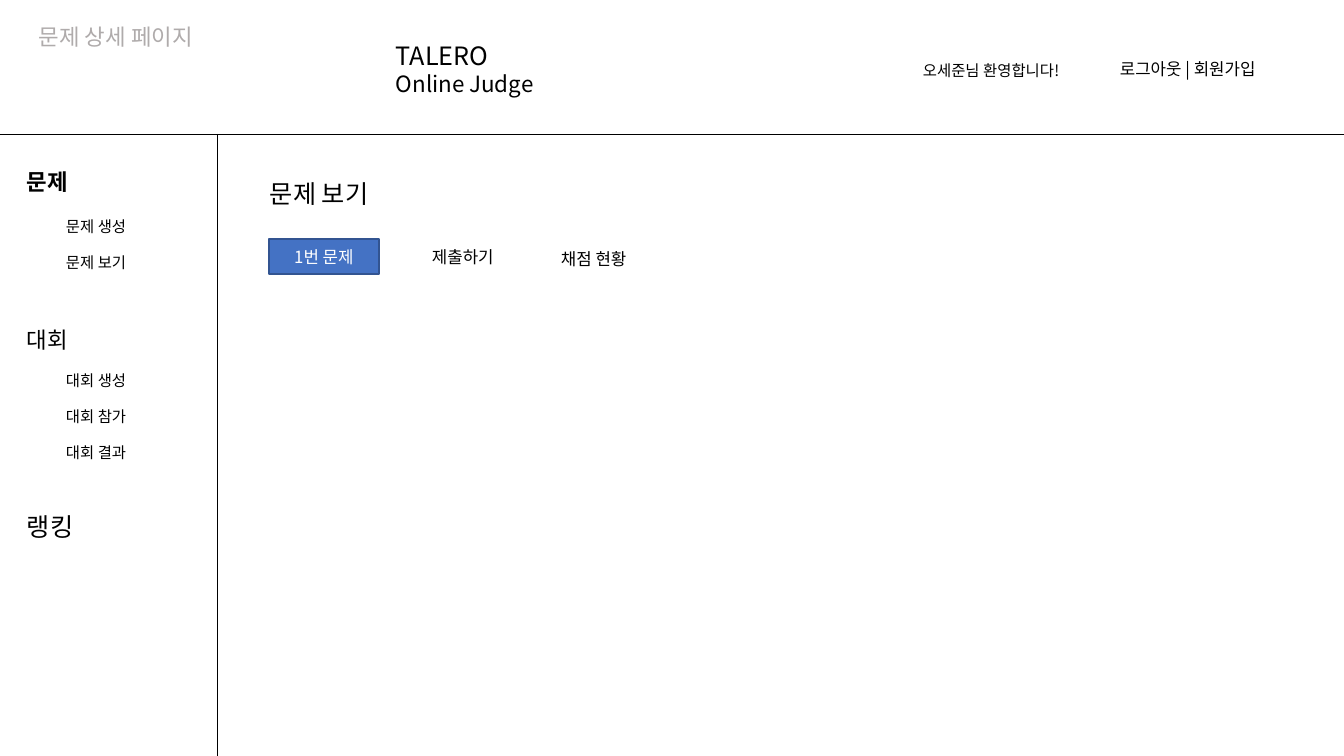
"""Builds the problem detail page of an online judge."""
from pptx import Presentation
from pptx.util import Emu, Pt
from pptx.dml.color import RGBColor
from pptx.enum.shapes import MSO_SHAPE as Shape, MSO_CONNECTOR as Link
from pptx.enum.text import PP_ALIGN as Align, MSO_ANCHOR as Anchor
from pptx.oxml.ns import qn
from lxml.etree import SubElement as Sub

FONT = "Noto Sans CJK KR"


def px(n):
    return Emu(round(n * 9144 / 1.008))


def style(par, text, size, tint="000000", bold=False):
    par.text = text
    for run in par.runs:
        font = run.font
        font.name, font.size, font.bold = FONT, Pt(size), bold
        font.color.rgb = RGBColor.from_string(tint)
        Sub(font._element, qn("a:ea")).set("typeface", FONT)


deck = Presentation()
deck.slide_width, deck.slide_height = px(1344), px(756)
slide = deck.slides.add_slide(deck.slide_layouts[6])
shapes = slide.shapes

for ends in [(0, 134, 1344, 134), (217, 134, 217, 756)]:
    rule = shapes.add_connector(Link.STRAIGHT, *map(px, ends))
    rule.line.color.rgb = RGBColor.from_string("000000")
    rule.line.width = Pt(0.5)
    Sub(rule._element.spPr, qn("a:effectLst"))

menu = [
    ("문제", 16, 0, 0),
    ("문제 생성", 11, 22, 39),
    ("문제 보기", 11, 18, 39),
    ("대회", 16, 54, 0),
    ("대회 생성", 11, 18, 39),
    ("대회 참가", 11, 18, 39),
    ("대회 결과", 11, 18, 39),
    ("랭킹", 18, 49, 0),
]
frame = shapes.add_textbox(px(17), px(163), px(129), px(388)).text_frame
frame.word_wrap = False
for i, (text, size, gap, dent) in enumerate(menu):
    par = frame.add_paragraph() if i else frame.paragraphs[0]
    style(par, text, size, bold=i == 0)
    par.space_before = px(gap)
    par._p.get_or_add_pPr().set("marL", str(px(dent)))

labels = [
    (260, 173, 126, 40, [("문제 보기", 18)], "000000", False),
    (422, 242, 86, 30, [("제출하기", 12)], "000000", False),
    (551, 244, 91, 30, [("채점 현황", 12)], "000000", False),
    (386, 35, 167, 68, [("TALERO", 18), ("Online Judge", 16)], "000000", False),
    (29, 18, 187, 37, [("문제 상세 페이지", 16)], "AFABAB", False),
    (913, 56, 180, 29, [("오세준님 환영합니다!", 11)], "000000", True),
    (1110, 54, 157, 30, [("로그아웃 | 회원가입", 12)], "000000", True),
]
for x, y, w, h, lines, tint, wrap in labels:
    frame = shapes.add_textbox(px(x), px(y), px(w), px(h)).text_frame
    frame.word_wrap = wrap
    for i, (text, size) in enumerate(lines):
        par = frame.add_paragraph() if i else frame.paragraphs[0]
        style(par, text, size, tint)

tab = shapes.add_shape(Shape.RECTANGLE, px(269), px(239), px(110), px(35))
tab.shadow.inherit = False
tab.fill.solid()
tab.fill.fore_color.rgb = RGBColor.from_string("4472C4")
tab.line.color.rgb = RGBColor.from_string("325491")
tab.line.width = Pt(1)
frame = tab.text_frame
frame.vertical_anchor = Anchor.MIDDLE
style(frame.paragraphs[0], "1번 문제", 12, "FFFFFF")
frame.paragraphs[0].alignment = Align.CENTER

deck.save("out.pptx")
